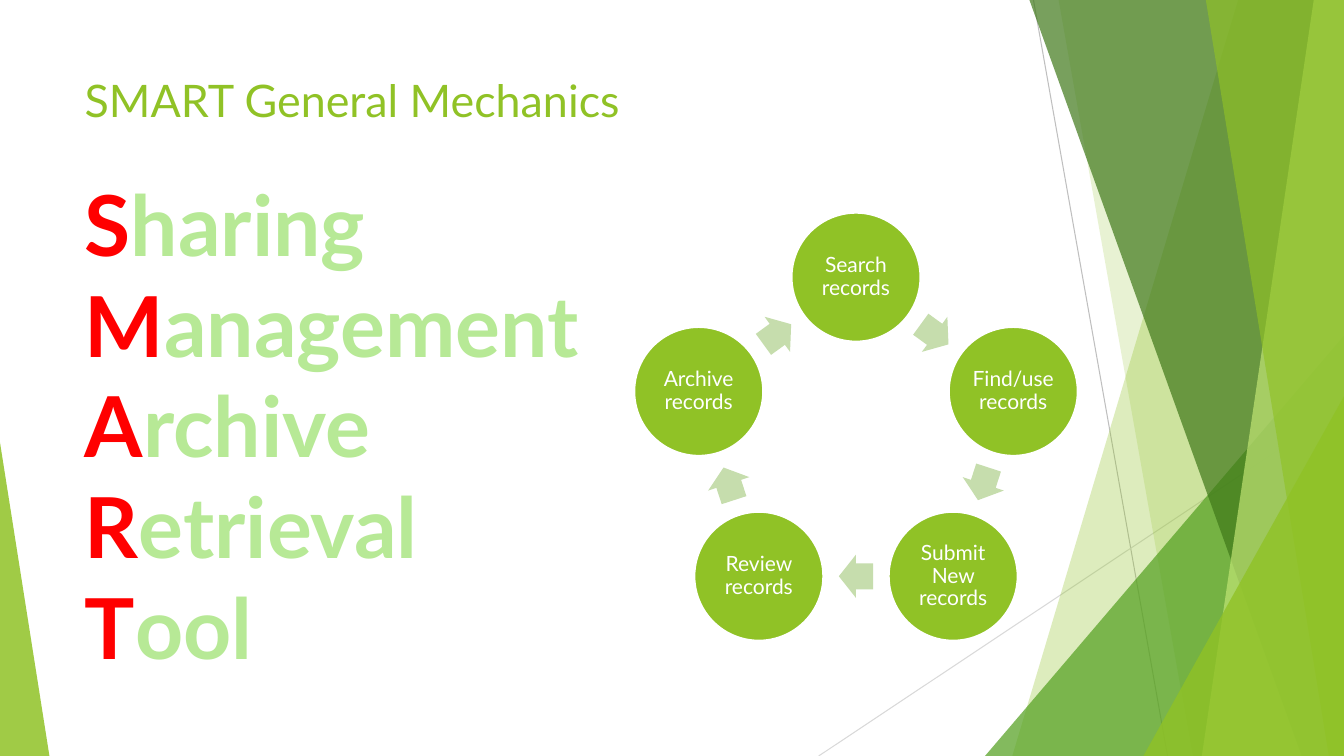
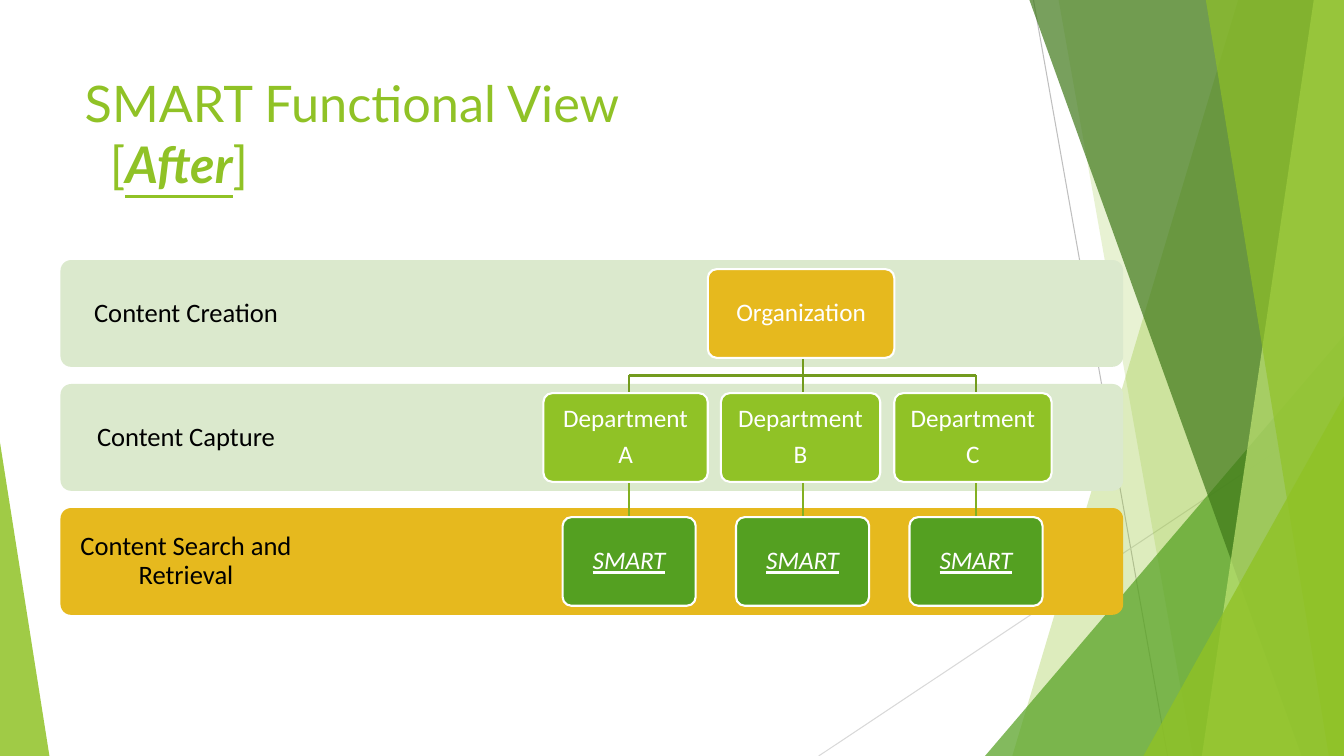
from math import cos, pi, sin

from lxml import etree
from pptx import Presentation
from pptx.dml.color import RGBColor
from pptx.enum.shapes import MSO_CONNECTOR, MSO_SHAPE
from pptx.enum.text import MSO_ANCHOR, MSO_AUTO_SIZE, PP_ALIGN
from pptx.oxml.ns import qn
from pptx.util import Inches, Pt

STRAIGHT = MSO_CONNECTOR.STRAIGHT
TRIANGLE = MSO_SHAPE.ISOSCELES_TRIANGLE
ROUNDED = MSO_SHAPE.ROUNDED_RECTANGLE
CIRCLE, ARROW = MSO_SHAPE.OVAL, MSO_SHAPE.RIGHT_ARROW
LEFT, CENTER = PP_ALIGN.LEFT, PP_ALIGN.CENTER
TOP, MIDDLE = MSO_ANCHOR.TOP, MSO_ANCHOR.MIDDLE
NO_FIT = MSO_AUTO_SIZE.NONE

WIDTH, HEIGHT = 13.33, 7.5
TITLE_AREA = (0.74, 0.67, 9.4, 1.44)
HEADING_FONT, CHART_FONT = "Lato", "Calibri"
COLORS = {
    "green": "90C226", "leaf": "54A021", "forest": "3F7819", "lime": "C0E474",
    "mint": "B7E996", "sage": "C6DDAD", "pale": "DBE9CD", "gold": "E6B91E",
    "red": "FF0000", "white": "FFFFFF", "black": "000000",
    "grey": "BFBFBF", "light grey": "D9D9D9",
    "upper branch": "739B1E", "lower branch": "83B022",
}

# Department boxes: letter, left, width
DEPARTMENTS = [("A", 5.39, 1.63), ("B", 7.15, 1.58), ("C", 8.87, 1.56)]
BANDS = [("Content Creation", "pale"), ("Content Capture", "pale"),
         ("Content Search and Retrieval", "gold")]
BAND_LEFT, BAND_TOP, BAND_WIDTH, BAND_HEIGHT, BAND_PITCH = 0.6, 2.58, 10.54, 1.06, 1.23
BOX_HEIGHT, BOX_OFFSET = 0.88, 0.09
TREE_CENTER, TREE_PITCH = 7.96, 1.72


def rgb(name):
    return RGBColor.from_string(COLORS[name])


def inches(*values):
    return [Inches(value) for value in values]


def set_values(target, values):
    for name, value in values.items():
        setattr(target, name, value)


def paint(shape, fill, opacity=100, outline=None):
    shape.shadow.inherit = False
    shape.fill.solid()
    shape.fill.fore_color.rgb = rgb(fill)
    if opacity < 100:
        color = shape.element.spPr.find(qn("a:solidFill")).find(qn("a:srgbClr"))
        etree.SubElement(color, qn("a:alpha"), val=str(opacity * 1000))
    if outline:
        shape.line.color.rgb = rgb(outline)
        shape.line.width = Pt(1.5)
    else:
        shape.line.fill.background()


def add_shape(slide, kind, area, fill, adjustments=(), **paint_options):
    shape = slide.shapes.add_shape(kind, *inches(*area))
    for index, value in enumerate(adjustments):
        shape.adjustments[index] = value
    paint(shape, fill, **paint_options)
    return shape


def add_line(slide, start, end, color, width=1.5):
    line = slide.shapes.add_connector(STRAIGHT, *inches(*start, *end))
    line.line.color.rgb = rgb(color)
    line.line.width = Pt(width)
    etree.SubElement(line.element.spPr, qn("a:effectLst"))
    return line


def add_panel(slide, top_x, bottom_x, fill, opacity):
    """Full-height panel with a slanted left edge, ending at the right of the slide."""
    corners = [(WIDTH, 0), (WIDTH, HEIGHT), (bottom_x, HEIGHT)]
    builder = slide.shapes.build_freeform(Inches(top_x), 0)
    builder.add_line_segments([inches(*corner) for corner in corners], close=True)
    panel = builder.convert_to_shape()
    paint(panel, fill, opacity)
    return panel


def add_run(paragraph, text, font, size, color, **font_values):
    run = paragraph.add_run()
    run.text = text
    set_values(run.font, {"name": font, "size": Pt(size), **font_values})
    run.font.color.rgb = rgb(color)


def add_label(shape, lines, font, size, color, margin, right=None, **font_values):
    frame = shape.text_frame
    set_values(frame, {
        "word_wrap": True, "vertical_anchor": MIDDLE,
        "margin_left": Inches(margin), "margin_top": Inches(margin),
        "margin_right": Inches(right or margin), "margin_bottom": Inches(margin),
    })
    for index, line in enumerate(lines):
        paragraph = frame.add_paragraph() if index else frame.paragraphs[0]
        set_values(paragraph, {"alignment": CENTER, "line_spacing": 0.9,
                               "space_after": Pt(size * 0.35)})
        add_run(paragraph, line, font, size, color, **font_values)


def fill_placeholder(placeholder, area, lines, size, indents=None):
    """Write lines of (text, color, font values) runs, without bullets."""
    names = ("left", "top", "width", "height")
    set_values(placeholder, dict(zip(names, inches(*area))))
    frame = placeholder.text_frame
    set_values(frame, {"vertical_anchor": TOP, "auto_size": NO_FIT, "word_wrap": True})
    for index, line in enumerate(lines):
        paragraph = frame.add_paragraph() if index else frame.paragraphs[0]
        set_values(paragraph, {"alignment": LEFT, "space_before": Pt(0)})
        properties = paragraph._p.get_or_add_pPr()
        properties.set("marL", str(Inches(indents[index] if indents else 0)))
        properties.set("indent", "0")
        etree.SubElement(properties, qn("a:buNone"))
        for text, color, font_values in line:
            add_run(paragraph, text, HEADING_FONT, size, color, **font_values)


def add_backdrop(presentation, slide):
    """Draw the shared facets and move them to the slide master."""
    facets = [
        add_line(slide, (10.25, 0), (11.58, HEIGHT), "grey", 0.75),
        add_line(slide, (WIDTH, 4.03), (8.12, HEIGHT), "light grey", 0.75),
        add_panel(slide, 12.28, 10.04, "green", 30),
        add_panel(slide, 10.5, 11.83, "green", 20),
        add_shape(slide, TRIANGLE, (9.77, 3.33, 3.56, 4.17), "leaf", [1], opacity=72),
        add_panel(slide, 10.21, 12.91, "forest", 70),
        add_panel(slide, 13.03, 11.92, "lime", 70),
        add_panel(slide, 11.96, 13.18, "green", 65),
        add_shape(slide, TRIANGLE, (11.34, 3.93, 1.99, 3.57), "green", [1], opacity=80),
        add_shape(slide, TRIANGLE, (0, 4.39, 0.49, 3.11), "green", [0], opacity=85),
    ]
    master_tree = presentation.slide_master.shapes.element
    for facet in facets:
        master_tree.append(facet.element)


def add_cycle(slide, steps, center=(8.49, 4.39), radius=1.64, diameter=1.28):
    turn = 2 * pi / len(steps)
    arrow_width, arrow_height = 0.34, 0.43

    def centered_area(angle, distance, width, height):
        return (center[0] + distance * sin(angle) - width / 2,
                center[1] - distance * cos(angle) - height / 2, width, height)

    for index, step in enumerate(steps):
        angle = index * turn
        circle = add_shape(slide, CIRCLE, centered_area(angle, radius, diameter, diameter),
                           "green", outline="white")
        add_label(circle, [step], HEADING_FONT, 15, "white", 0.02)
        area = centered_area(angle + turn / 2, radius * cos(turn / 2),
                             arrow_width, arrow_height)
        arrow = add_shape(slide, ARROW, area, "sage", [0.6, 0.5])
        arrow.rotation = (index + 0.5) * 360 / len(steps)


def box_top(row):
    return BAND_TOP + row * BAND_PITCH + BOX_OFFSET


def add_box(slide, row, left, width, fill, lines, **font_values):
    area = (left, box_top(row), width, BOX_HEIGHT)
    box = add_shape(slide, ROUNDED, area, fill, [0.1], outline="white")
    add_label(box, lines, CHART_FONT, 18, "white", 0.07, **font_values)


def add_bands(slide):
    for row, (label, fill) in enumerate(BANDS):
        area = (BAND_LEFT, BAND_TOP + row * BAND_PITCH, BAND_WIDTH, BAND_HEIGHT)
        band = add_shape(slide, ROUNDED, area, fill, [0.1])
        add_label(band, [label], CHART_FONT, 19, "black", 0.12, right=8.17)


def add_tree(slide):
    columns = [TREE_CENTER + offset * TREE_PITCH for offset in (-1, 0, 1)]
    bottoms = [box_top(row) + BOX_HEIGHT for row in range(2)]
    fork = (bottoms[0] + box_top(1)) / 2
    add_line(slide, (TREE_CENTER, bottoms[0]), (TREE_CENTER, fork), "upper branch")
    add_line(slide, (columns[0], fork), (columns[-1], fork), "upper branch")
    add_box(slide, 0, 7.02, 1.85, "gold", ["Organization"])
    for column, (letter, left, width) in zip(columns, DEPARTMENTS):
        add_line(slide, (column, fork), (column, box_top(1)), "upper branch")
        add_line(slide, (column, bottoms[1]), (column, box_top(2)), "lower branch")
        add_box(slide, 1, left, width, "green", ["Department", letter])
        add_box(slide, 2, column - 0.66, 1.32, "leaf", ["SMART"],
                italic=True, underline=True)


def build_mechanics(slide):
    fill_placeholder(slide.shapes.title, TITLE_AREA,
                     [[("SMART General Mechanics", "green", {})]], 32)
    words = ["Sharing", "Management", "Archive", "Retrieval", "Tool"]
    bold = {"bold": True}
    acronym = [[(word[0], "red", bold), (word[1:], "mint", bold)] for word in words]
    fill_placeholder(slide.placeholders[1], (0.74, 1.66, 5.42, 5.15), acronym, 60)
    add_cycle(slide, ["Search records", "Find/use records", "Submit New records",
                      "Review records", "Archive records"])


def build_functional_view(slide):
    emphasis = {"bold": True, "italic": True, "underline": True}
    title = [[("SMART Functional View", "green", {})],
             [("[", "green", {}), ("After", "green", emphasis), ("]", "green", {})]]
    fill_placeholder(slide.shapes.title, TITLE_AREA, title, 36, indents=[0, 0.25])
    add_bands(slide)
    add_tree(slide)


def main():
    presentation = Presentation()
    presentation.slide_width, presentation.slide_height = inches(WIDTH, HEIGHT)
    layouts = presentation.slide_layouts
    mechanics = presentation.slides.add_slide(layouts.get_by_name("Title and Content"))
    add_backdrop(presentation, mechanics)
    build_mechanics(mechanics)
    build_functional_view(presentation.slides.add_slide(layouts.get_by_name("Title Only")))
    presentation.save("out.pptx")


if __name__ == "__main__":
    main()
